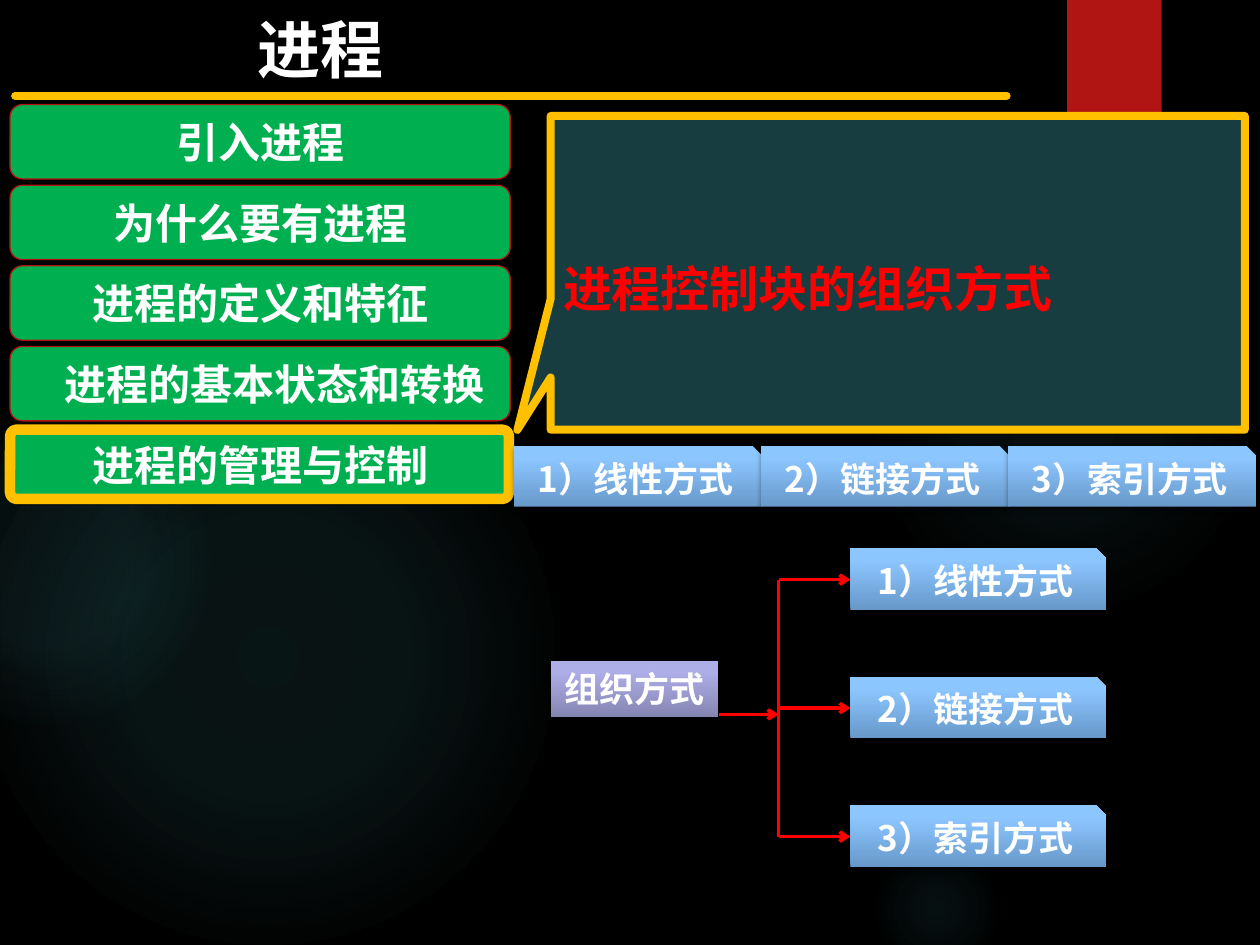
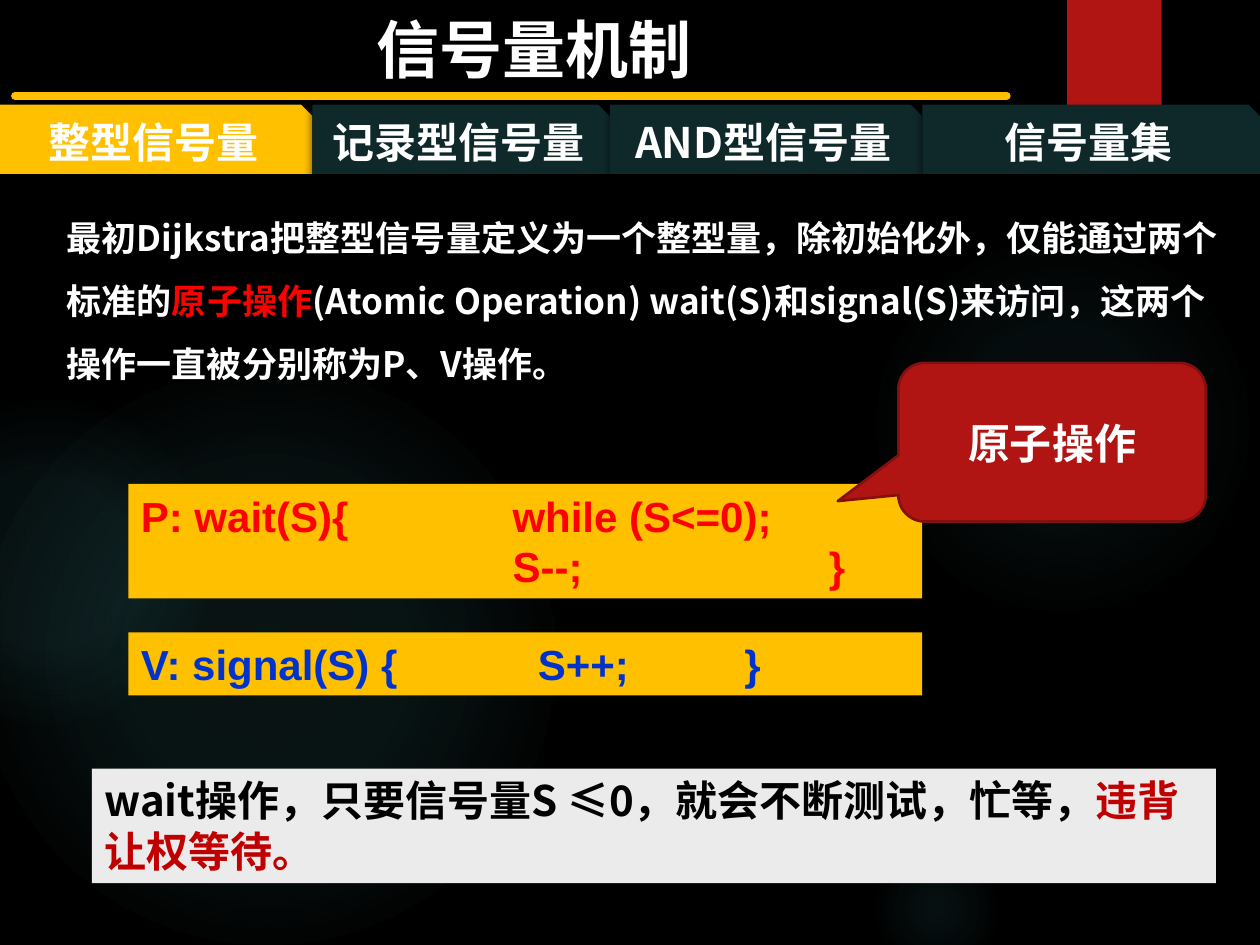
from itertools import accumulate

from lxml.etree import SubElement
from pptx import Presentation
from pptx.dml.color import RGBColor
from pptx.enum.shapes import MSO_CONNECTOR as Link, MSO_SHAPE as Form
from pptx.enum.text import MSO_ANCHOR as Anchor, MSO_AUTO_SIZE as Fit, PP_ALIGN as Align
from pptx.oxml.ns import qn
from pptx.util import Inches, Pt

SANS, CODE = "Noto Sans CJK SC", "Arial"
COLORS = {
    "black": "000000", "white": "FFFFFF", "glow": "50B9C1", "brick": "B01513",
    "wine": "82100E", "gold": "FFC000", "green": "00B050", "teal": "173D40",
    "dark": "0F282A", "red": "FF0000", "crimson": "C00000", "blue": "0033CC",
    "pale": "EBEBEB",
}
# Gradient stops: position, hex colour, opacity
SKY = [(0, "6798CA", 100), (80, "8CC6FF", 100), (100, "8EC7FF", 100)]
LILAC = [(0, "8585B2", 100), (80, "ADADE7", 100), (100, "ACACE9", 100)]
# Shadows: opacity, blur, distance
SOFT, DEEP, BAND = (35, 3.1, 1.8), (60, 5, 3), (45, 3, 2)

# Left, top, diameter, then position and opacity of each stop
GLOWS = [
    (6.89, 1.83, 3.08, [(0, 7), (36, 6), (69, 0)]),
    (6.89, 6.67, 1.08, [(0, 9), (36, 5), (66, 0)]),
    (-0.17, 2.92, 4.58, [(0, 11), (36, 10), (75, 0)]),
    (-0.92, 3.17, 2.58, [(0, 8), (36, 8), (72, 0)]),
]

MENU = ["引入进程", "为什么要有进程", "进程的定义和特征", "进程的基本状态和转换", "进程的管理与控制"]
WAYS = ["1）线性方式", "2）链接方式", "3）索引方式"]
TABS = [("整型信号量", 2.48), ("记录型信号量", 2.36), ("AND型信号量", 2.48), ("信号量集", 2.68)]
INTRO = [
    ("最初Dijkstra把整型信号量定义为一个整型量，除初始化外，仅能通过两个标准的", "white"),
    ("原子操作", "red"),
    ("(Atomic Operation) wait(S)和signal(S)来访问，这两个操作一直被分别称为P、V操作。", "white"),
]
# Top, height, colour, tab stops, lines
CODES = [
    (3.84, 0.91, "red", [2.95, 5.46], ["P: wait(S){\twhile (S<=0);", "\tS--;\t}"]),
    (5.02, 0.5, "blue", [3.15, 4.79], ["V: signal(S) {\tS++;\t}"]),
]
NOTE = [("wait操作，只要信号量S ≤0，就会不断测试，忙等，", "black"), ("违背让权等待。", "crimson")]


def rgb(name):
    return RGBColor.from_string(COLORS[name])


def place(shape, box):
    shape.left, shape.top, shape.width, shape.height = map(Inches, box)


def tint(parent, hue, alpha):
    node = SubElement(parent, qn("a:srgbClr"), val=hue)
    SubElement(node, qn("a:alpha"), val=str(int(alpha * 1000)))


def blend(shape, stops, round_=False):
    """Gradient fill, from bottom to top or out from the centre."""
    shape.fill.background()
    old = shape.element.spPr.find(qn("a:noFill"))
    grad = old.makeelement(qn("a:gradFill"), {"rotWithShape": "1"})
    rows = SubElement(grad, qn("a:gsLst"))
    for pos, hue, alpha in stops:
        tint(SubElement(rows, qn("a:gs"), pos=str(pos * 1000)), hue, alpha)
    if round_:
        path = SubElement(grad, qn("a:path"), path="circle")
        SubElement(path, qn("a:fillToRect"), {side: "50000" for side in "ltrb"})
    else:
        SubElement(grad, qn("a:lin"), ang="16200000", scaled="0")
    old.getparent().replace(old, grad)


def draw(slide, form, box, fill=None, line=None, shade=None, adj=()):
    shape = slide.shapes.add_shape(form, *map(Inches, box))
    for i, value in enumerate(adj):
        shape.adjustments[i] = value
    if isinstance(fill, list):
        blend(shape, fill, form == Form.OVAL)
    elif fill:
        shape.fill.solid()
        shape.fill.fore_color.rgb = rgb(fill)
    else:
        shape.fill.background()
    if line:
        shape.line.color.rgb, shape.line.width = rgb(line[0]), Pt(line[1])
    else:
        shape.line.fill.background()
    shape.shadow.inherit = False
    if shade:
        alpha, blur, dist = shade
        drop = SubElement(shape.element.spPr.find(qn("a:effectLst")), qn("a:outerShdw"),
                          blurRad=str(Pt(blur)), dist=str(Pt(dist)),
                          dir="5400000", rotWithShape="0")
        tint(drop, COLORS["black"], alpha)
    return shape


def rule(slide, start, end, hue, width, arrow=False):
    line = slide.shapes.add_connector(Link.STRAIGHT, *map(Inches, start + end))
    line.line.color.rgb, line.line.width = rgb(hue), Pt(width)
    if arrow:
        SubElement(line.line._get_or_add_ln(), qn("a:tailEnd"), type="arrow")
    SubElement(line.element.spPr, qn("a:effectLst"))
    return line


def write(shape, lines, size, align=Align.CENTER, font=SANS, anchor=Anchor.MIDDLE, fit=Fit.NONE):
    """Each line is a list of (text, colour) runs."""
    frame = shape.text_frame
    frame.word_wrap, frame.auto_size, frame.vertical_anchor = True, fit, anchor
    for i, parts in enumerate(lines):
        para = frame.add_paragraph() if i else frame.paragraphs[0]
        para.alignment = align
        for text, hue in parts:
            run = para.add_run()
            run.text = text
            face = run.font
            face.name, face.size, face.bold = font, Pt(size), True
            face.color.rgb = rgb(hue)
            SubElement(run.font._element, qn("a:ea"), typeface=font)
    return frame


def chip(slide, text, box, fill=SKY, form=Form.SNIP_1_RECTANGLE):
    shape = draw(slide, form, box, fill, shade=SOFT)
    frame = write(shape, [[(text, "white")]], 20, anchor=Anchor.TOP, fit=Fit.SHAPE_TO_FIT_TEXT)
    frame.margin_left = frame.margin_right = Inches(0.05)


def title(slide, text, width):
    place(slide.shapes.title, (0.01, 0.03, width, 0.71))
    write(slide.shapes.title, [[(text, "white")]], 36, anchor=Anchor.TOP)


def dress(deck, slide):
    """Draw the shared parts and move them to the slide master."""
    master = deck.slide_master
    master.background.fill.solid()
    master.background.fill.fore_color.rgb = rgb("black")
    parts = [draw(slide, Form.OVAL, (x, y, d, d),
                  [(pos, COLORS["glow"], alpha) for pos, alpha in stops])
             for x, y, d, stops in GLOWS]
    parts.append(draw(slide, Form.RECTANGLE, (8.47, 0, 0.75, 1.2), "brick", shade=BAND))
    line = rule(slide, (0.12, 0.76), (7.99, 0.76), "gold", 4.5)
    line.line._get_or_add_ln().set("cap", "rnd")
    for num, part in enumerate(parts + [line], 20):
        part.element.xpath(".//p:cNvPr")[0].set("id", str(num))
        master.element.cSld.spTree.append(part.element)


def process(slide):
    title(slide, "进程", 5.07)
    for i, text in enumerate(MENU):
        item = draw(slide, Form.ROUNDED_RECTANGLE, (0.08, 0.83 + 0.64 * i, 3.97, 0.59),
                    "green", ("brick", 0.75))
        frame = write(item, [[(text, "white")]], 24)
        if i == 3:
            frame.margin_left = Inches(0.33)
    draw(slide, Form.ROUNDED_RECTANGLE, (0.08, 3.41, 3.96, 0.55), line=("gold", 6), adj=[0.095])

    board = draw(slide, Form.RECTANGULAR_CALLOUT, (4.37, 0.92, 5.51, 2.49), "teal",
                 ("gold", 4.5), adj=[-0.548, 0.501])
    frame = write(board, [[("进程控制块的组织方式", "red")]], 28, Align.LEFT)
    frame.paragraphs[0].line_spacing = 1.5

    chip(slide, "组织方式", (4.37, 5.25, 1.33, 0.44), LILAC, Form.RECTANGLE)
    trunk, first, step = 6.18, 4.6, 1.02
    rule(slide, (trunk, first), (trunk, first + 2 * step), "red", 2)
    rule(slide, (5.71, 5.67), (trunk, 5.67), "red", 2, True)
    for i, text in enumerate(WAYS):
        y = first + step * i
        chip(slide, text, (6.75, y - 0.25, 2.03, 0.49))
        rule(slide, (trunk, y), (6.75, y), "red", 2, True)
        chip(slide, text, (4.08 + 1.96 * i, 3.54, 1.97, 0.48))


def semaphore(slide):
    title(slide, "信号量机制", 8.45)
    ends = accumulate(width for _, width in TABS)
    for i, ((text, width), end) in enumerate(zip(TABS, ends)):
        tab = draw(slide, Form.SNIP_1_RECTANGLE, (end - width, 0.83, width, 0.55),
                   "dark" if i else "gold", shade=DEEP)
        write(tab, [[(text, "white")]], 24)

    body = slide.placeholders[1]
    place(body, (0.31, 1.5, 9.49, 1.86))
    para = write(body, [INTRO], 20, Align.LEFT, anchor=Anchor.TOP).paragraphs[0]
    props = para._p.get_or_add_pPr()
    props.set("marL", str(Inches(0.12)))
    props.set("indent", "0")
    SubElement(props, qn("a:buNone"))
    para.line_spacing, para.space_before = 1.5, Pt(0)

    for top, height, hue, stops, lines in CODES:
        box = draw(slide, Form.RECTANGLE, (1.02, top, 6.3, height), "gold")
        frame = write(box, [[(text, hue)] for text in lines], 24, Align.LEFT, CODE,
                      Anchor.TOP, Fit.SHAPE_TO_FIT_TEXT)
        for para in frame.paragraphs:
            tabs = SubElement(para._p.get_or_add_pPr(), qn("a:tabLst"))
            for pos in stops:
                SubElement(tabs, qn("a:tab"), pos=str(Inches(pos)), algn="l")

    note = draw(slide, Form.RECTANGLE, (0.73, 6.1, 8.92, 0.91), "pale")
    write(note, [NOTE], 24, Align.LEFT, anchor=Anchor.TOP, fit=Fit.SHAPE_TO_FIT_TEXT)
    bubble = draw(slide, Form.ROUNDED_RECTANGULAR_CALLOUT, (7.13, 2.88, 2.44, 1.26), "brick",
                  ("wine", 1.5), adj=[-0.697, 0.371, 0.167])
    write(bubble, [[("原子操作", "white")]], 24)


def main():
    deck = Presentation()
    deck.slide_width, deck.slide_height = Inches(10), Inches(7.5)
    first = deck.slides.add_slide(deck.slide_layouts[5])
    dress(deck, first)
    process(first)
    semaphore(deck.slides.add_slide(deck.slide_layouts[1]))
    deck.save("out.pptx")


if __name__ == "__main__":
    main()
